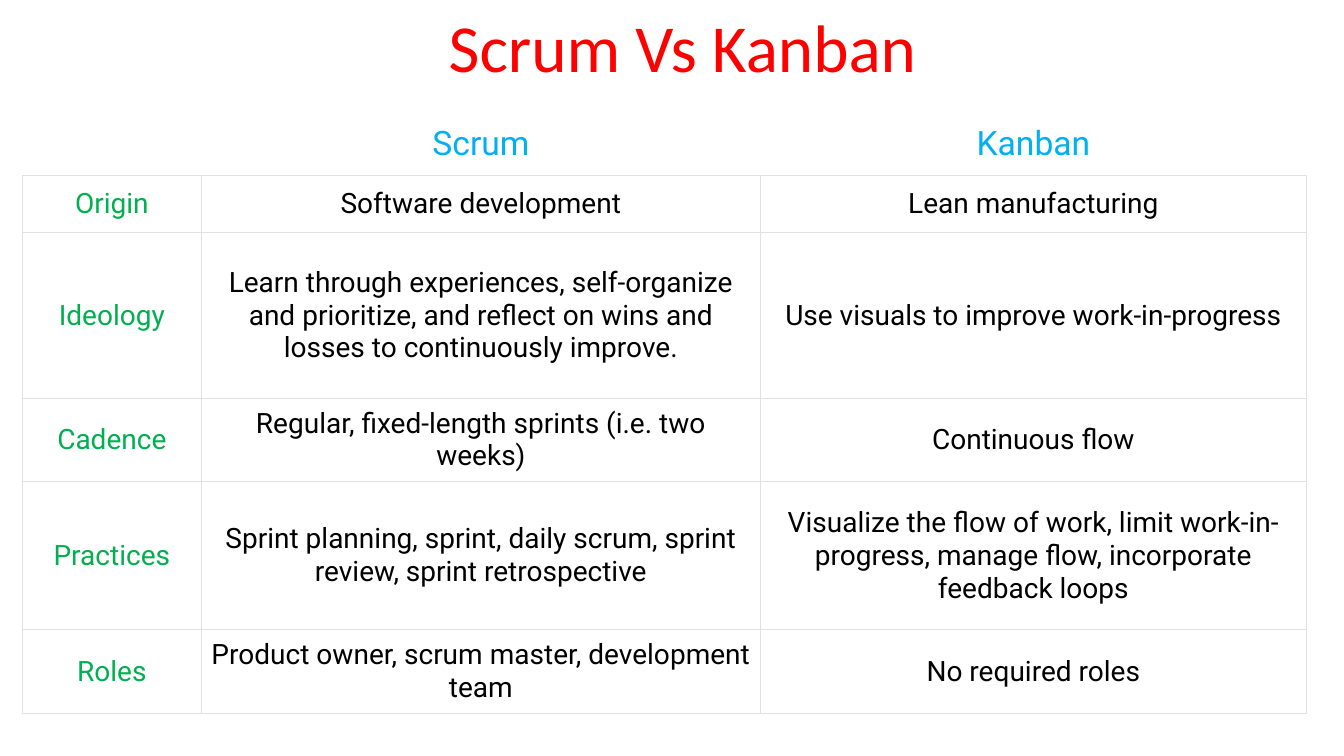
from lxml import etree
from pptx import Presentation
from pptx.dml.color import RGBColor
from pptx.enum.text import MSO_ANCHOR as Anchor, MSO_AUTO_SIZE as AutoSize, PP_ALIGN as Align
from pptx.oxml.ns import qn
from pptx.util import Inches, Pt

# Content
TITLE = "Scrum Vs Kanban"
ROWS = [
    ("", "Scrum", "Kanban"),
    ("Origin", "Software development", "Lean manufacturing"),
    ("Ideology",
     "Learn through experiences, self-organize and prioritize, "
     "and reflect on wins and losses to continuously improve.",
     "Use visuals to improve work-in-progress"),
    ("Cadence", "Regular, fixed-length sprints (i.e. two weeks)", "Continuous flow"),
    ("Practices",
     "Sprint planning, sprint, daily scrum, sprint review, sprint retrospective",
     "Visualize the flow of work, limit work-in-progress, manage flow, "
     "incorporate feedback loops"),
    ("Roles", "Product owner, scrum master, development team", "No required roles"),
]
COL_WIDTHS = [1.78, 5.54, 5.42]
ROW_HEIGHTS = [0.55, 0.57, 1.64, 0.83, 1.47, 0.83]
RED, BLUE, GREEN, BLACK = "FF0000", "00B0F0", "00B050", "000000"
WHITE, GREY = "FFFFFF", "DFE1E5"


def rgb(value):
    return RGBColor.from_string(value)


def write(tf, text, size=20, color=BLACK, font="Roboto", align=Align.CENTER):
    p = tf.paragraphs[0]
    p.alignment = align
    if not text:
        return
    r = p.add_run()
    r.text = text
    r.font.size, r.font.name, r.font.bold = Pt(size), font, False
    r.font.color.rgb = rgb(color)


def set_borders(cell, visible):
    tc_pr = cell._tc.get_or_add_tcPr()
    for side in "LRTB":
        ln = etree.SubElement(tc_pr, qn(f"a:ln{side}"), w=str(Pt(0.75)))
        if side in visible:
            fill = etree.SubElement(ln, qn("a:solidFill"))
            etree.SubElement(fill, qn("a:srgbClr"), val=GREY)
        else:
            etree.SubElement(ln, qn("a:noFill"))


prs = Presentation()
prs.slide_width, prs.slide_height = Inches(13.33), Inches(7.5)
s = prs.slides.add_slide(prs.slide_layouts[5])

# Title
title = s.shapes.title
title.left, title.top, title.width, title.height = map(Inches, (4.35, 0, 4.89, 0.91))
tf = title.text_frame
tf.word_wrap, tf.auto_size, tf.vertical_anchor = False, AutoSize.NONE, Anchor.TOP
write(tf, TITLE, size=48, color=RED, font="Calibri", align=Align.LEFT)

# Comparison table
table = s.shapes.add_table(len(ROWS), len(COL_WIDTHS), Inches(0.22), Inches(1.19),
                           Inches(sum(COL_WIDTHS)), Inches(sum(ROW_HEIGHTS))).table
table.first_row = table.horz_banding = False
for column, width in zip(table.columns, COL_WIDTHS):
    column.width = Inches(width)
for row, height in zip(table.rows, ROW_HEIGHTS):
    row.height = Inches(height)

for i, texts in enumerate(ROWS):
    header = i == 0
    margin = Inches(0.04 if header else 0.08)
    for j, text in enumerate(texts):
        cell = table.cell(i, j)
        set_borders(cell, "B" if header else "LRTB")
        cell.fill.solid()
        cell.fill.fore_color.rgb = rgb(WHITE)
        cell.margin_left = cell.margin_right = margin
        cell.margin_top = cell.margin_bottom = margin
        cell.vertical_anchor = Anchor.TOP if header else Anchor.MIDDLE
        color = BLUE if header else GREEN if j == 0 else BLACK
        write(cell.text_frame, text, size=24 if header else 20, color=color)

prs.save("out.pptx")
